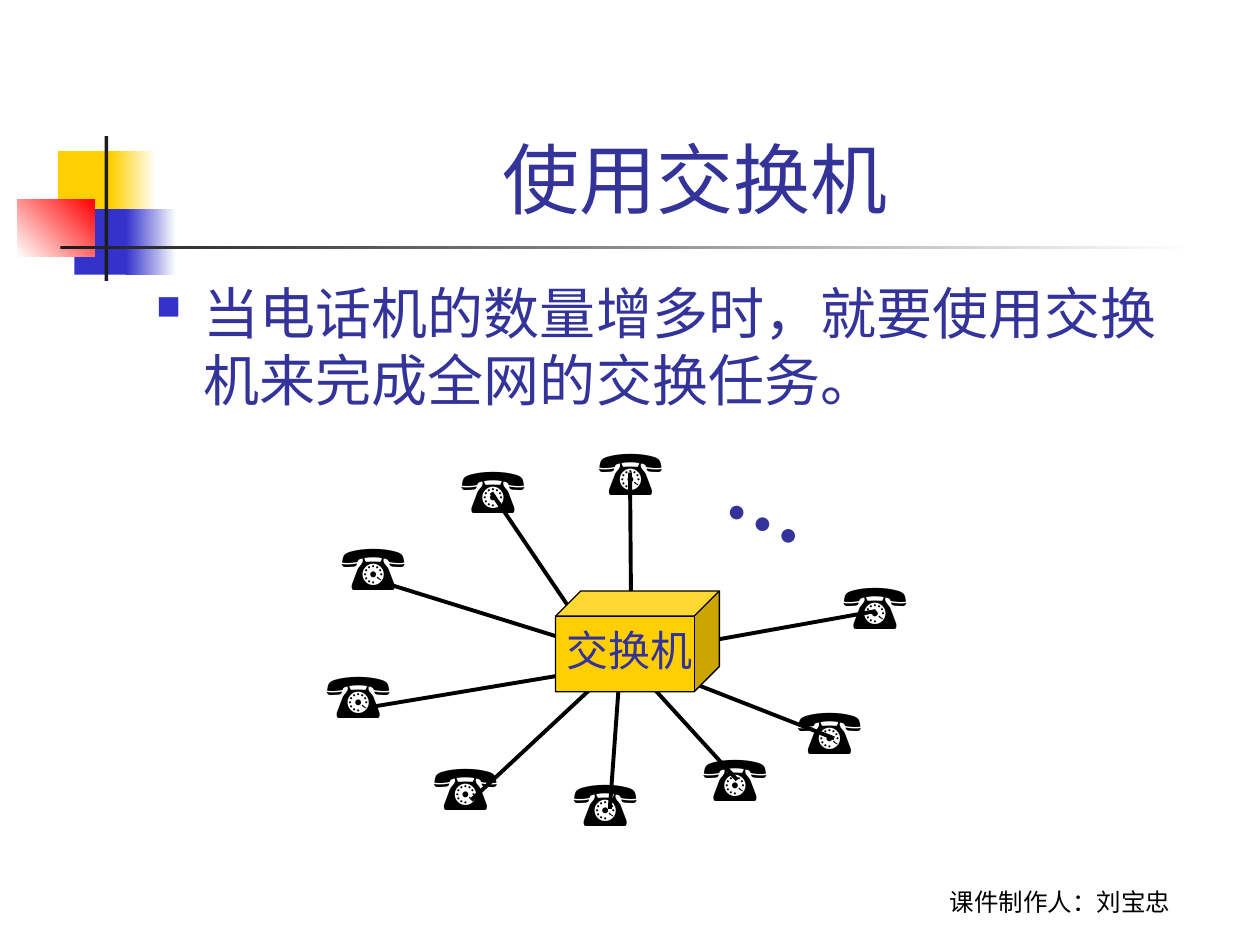
from lxml import etree
from pptx import Presentation
from pptx import util as u
from pptx.dml.color import RGBColor
from pptx.enum import shapes, text
from pptx.oxml.ns import qn

# Content
INK, BLUE, YELLOW, NAVY, WHITE, BLACK = "1C1C1C", "3333CC", "FFCF01", "333399", "FFFFFF", "000000"

# Place, colours (two make a gradient), gradient angle
ORNAMENTS = [
    ((0.46, 1.2, 0.48, 0.52), [YELLOW], 0),
    ((0.88, 1.2, 0.36, 0.52), [YELLOW, WHITE], 0),
    ((0.59, 1.66, 0.46, 0.52), [BLUE], 0),
    ((1, 1.66, 0.4, 0.52), [BLUE, WHITE], 0),
    ((0.14, 1.58, 0.61, 0.46), [WHITE, "FF0000"], 45),
    ((0.83, 1.08, 0.03, 1.15), [INK], 0),
    ((0.48, 1.95, 9, 0.03), [INK, WHITE], 0),
]

TITLE = "使用交换机"
BODY = "当电话机的数量增多时，就要使用交换机来完成全网的交换任务。"
CREDIT = "课件制作人：刘宝忠"
SWITCH = "交换机"

# Left and top of each telephone, then the two ends of its wire
PHONES = [
    ((4.65, 3.38), (5.01, 5.01), (5, 3.75)),
    ((6.59, 4.45), (5.39, 5.13), (6.95, 4.85)),
    ((6.23, 5.44), (6.62, 5.86), (5.24, 5.32)),
    ((5.48, 5.81), (5.85, 6.19), (4.92, 5.17)),
    ((4.45, 6.01), (4.84, 6.42), (4.92, 5.32)),
    ((3.34, 5.88), (3.74, 6.35), (4.76, 5.4)),
    ((2.49, 5.15), (2.95, 5.61), (4.69, 5.32)),
    ((2.61, 4.14), (3.03, 4.62), (4.64, 5.12)),
    ((3.56, 3.53), (3.9, 3.91), (4.57, 4.9)),
]
PHONE_SIZE = (0.85, 0.7)

deck = Presentation()
deck.slide_width, deck.slide_height = u.Inches(10), u.Inches(7.5)
page = deck.slides.add_slide(deck.slide_layouts[6])


def color(value):
    return RGBColor.from_string(value)


def inches(values):
    return [u.Inches(value) for value in values]


def add_solid(kind, place, fill):
    shape = page.shapes.add_shape(kind, *inches(place))
    shape.shadow.inherit = False
    shape.fill.solid()
    shape.fill.fore_color.rgb = color(fill)
    shape.line.fill.background()
    return shape


def add_bullet(para, symbol, tint, percent, indent):
    props = para._p.get_or_add_pPr()
    props.set("marL", str(u.Inches(indent)))
    props.set("indent", str(-u.Inches(indent)))
    tint_tag = etree.SubElement(props, qn("a:buClr"))
    etree.SubElement(tint_tag, qn("a:srgbClr"), val=tint)
    etree.SubElement(props, qn("a:buSzPct"), val=str(percent * 1000))
    etree.SubElement(props, qn("a:buChar"), char=symbol)


def add_text(words, place, size, font="Arial", tint=NAVY, bold=False, wrap=True,
             anchor=text.MSO_ANCHOR.TOP, align=text.PP_ALIGN.LEFT):
    box = page.shapes.add_textbox(*inches(place))
    frame = box.text_frame
    fit = text.MSO_AUTO_SIZE.NONE if wrap else text.MSO_AUTO_SIZE.SHAPE_TO_FIT_TEXT
    for name, value in {"word_wrap": wrap, "auto_size": fit, "vertical_anchor": anchor}.items():
        setattr(frame, name, value)
    para = frame.paragraphs[0]
    para.alignment = align
    span = para.add_run()
    span.text = words
    for name, value in {"size": u.Pt(size), "name": font, "bold": bold}.items():
        setattr(span.font, name, value)
    span.font.color.rgb = color(tint)
    return box


# Corner ornament and rule
for place, tints, angle in ORNAMENTS:
    block = add_solid(shapes.MSO_SHAPE.RECTANGLE, place, tints[0])
    if len(tints) == 2:
        block.fill.gradient()
        block.fill.gradient_angle = angle
        for stop, tint, position in zip(block.fill.gradient_stops, tints, (0, 1)):
            stop.color.rgb = color(tint)
            stop.position = position

# Credit, title and body
low_center = {"anchor": text.MSO_ANCHOR.BOTTOM, "align": text.PP_ALIGN.CENTER}
add_text(CREDIT, (6.83, 6.82, 3.17, 0.5), 14, "Cabin", BLACK, **low_center)
add_text(TITLE, (1.26, 0.23, 8.52, 1.6), 44, **low_center)
body = add_text(BODY, (1.14, 2.16, 8.5, 4.5), 32)
add_bullet(body.text_frame.paragraphs[0], "■", BLUE, 60, 0.38)

# More telephones to come
dots = add_text("…", (5.71, 3.51, 0.86, 0.9), 48, "Times New Roman", bold=True, wrap=False)
dots.rotation = 24.3

# Wires, then telephones
for _, start, end in PHONES:
    wire = page.shapes.add_connector(shapes.MSO_CONNECTOR.STRAIGHT, *inches(start + end))
    wire.line.color.rgb = color(BLACK)
    wire.line.width = u.Pt(2.25)
    etree.SubElement(wire._element.spPr, qn("a:effectLst"))
for corner, _, _ in PHONES:
    add_text("☎", corner + PHONE_SIZE, 36, tint=BLACK, wrap=False)

# Switch in the middle
cube = add_solid(shapes.MSO_SHAPE.CUBE, (4.41, 4.69, 1.3, 0.8), YELLOW)
cube.adjustments[0] = 0.25
cube.line.color.rgb = color(BLACK)
cube.line.width = u.Pt(0.75)
add_text(SWITCH, (4.4, 4.91, 1.2, 0.5), 24, "Times New Roman", wrap=False)

deck.save("out.pptx")
